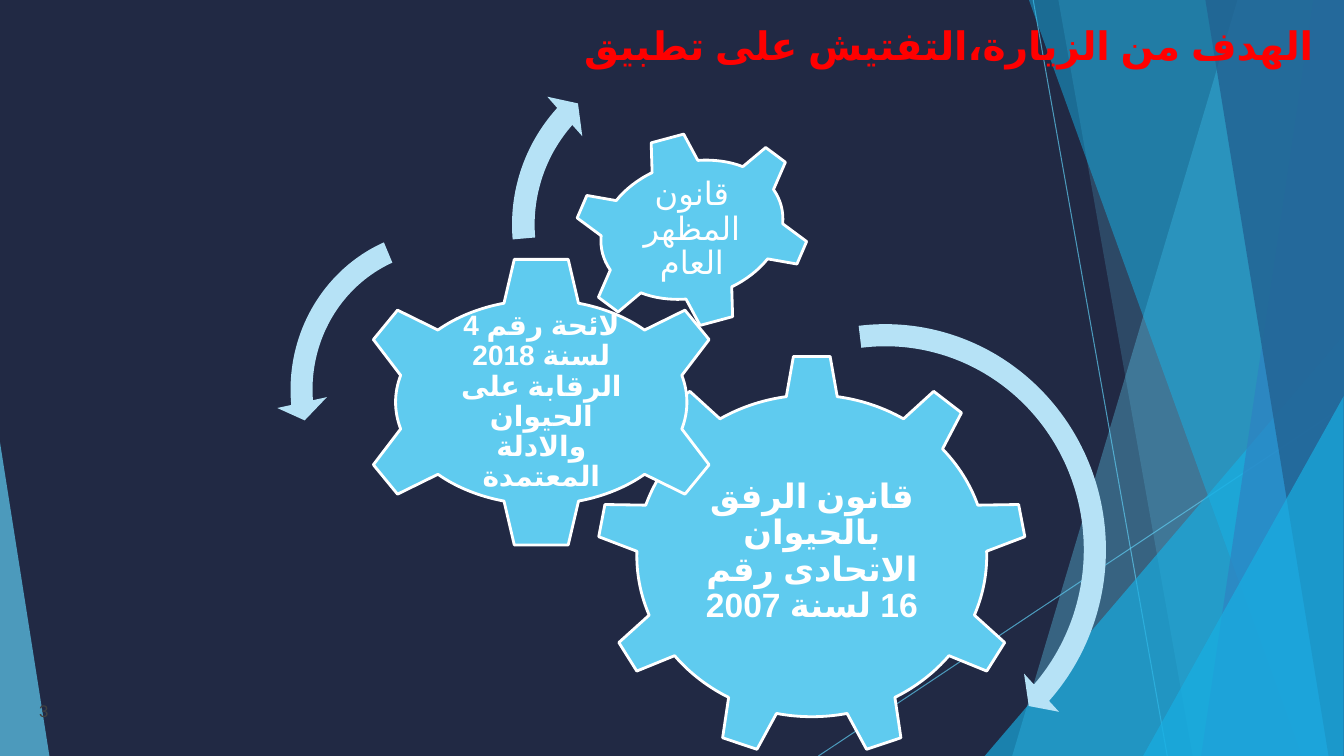
from lxml import etree
from pptx import Presentation
from pptx import util as u
from pptx.dml.color import RGBColor
from pptx.enum import lang, shapes, text
from pptx.oxml import ns

COLORS = {
    "navy": "212944", "sky": "5FCBEF", "azure": "17B0E4", "blue": "2E83C3",
    "deep": "226292", "pale": "B6E2F6", "white": "FFFFFF", "red": "FF0000",
    "gray": "404040",
}
PRESET = shapes.MSO_SHAPE
ALIGN = text.PP_ALIGN
ANCHOR = text.MSO_ANCHOR
WIDTH, HEIGHT = 960, 540


def points(*values):
    return [u.Pt(value) for value in values]


def paint(fill, color, alpha=100):
    """Fill with a named colour at an opacity in percent."""
    fill.solid()
    fill.fore_color.rgb = RGBColor.from_string(COLORS[color])
    if alpha < 100:
        tint = fill._xPr.find(".//" + ns.qn("a:srgbClr"))
        etree.SubElement(tint, ns.qn("a:alpha"), val=str(alpha * 1000))


def write(shape, words, size, color, font="Lato", bold=False, align=ALIGN.LEFT,
          anchor=ANCHOR.TOP, insets=(0, 0), spacing=None, arabic=True):
    """Put one formatted paragraph in a shape; insets are side and top."""
    frame = shape.text_frame
    frame.word_wrap = True
    frame.auto_size = text.MSO_AUTO_SIZE.NONE
    frame.vertical_anchor = anchor
    frame.margin_left = frame.margin_right = u.Pt(insets[0])
    frame.margin_top = frame.margin_bottom = u.Pt(insets[1])
    para = frame.paragraphs[0]
    para.alignment = align
    para.line_spacing = spacing
    span = para.add_run()
    span.text = words
    span.font.size = u.Pt(size)
    span.font.bold = bold
    span.font.name = font
    span.font.color.rgb = RGBColor.from_string(COLORS[color])
    if arabic:
        para._p.get_or_add_pPr().set("rtl", "1")
        span.font.language_id = lang.MSO_LANGUAGE_ID.ARABIC_UAE
        etree.SubElement(span._r.get_or_add_rPr(), ns.qn("a:cs"), typeface="Arial")


def add_preset(page, kind, box, color, alpha=100, adjustments=()):
    shape = page.shapes.add_shape(kind, *points(*box))
    shape.shadow.inherit = False
    paint(shape.fill, color, alpha)
    shape.line.fill.background()
    for index, value in enumerate(adjustments):
        shape.adjustments[index] = value
    return shape


def add_ray(page, start, end):
    ray = page.shapes.add_connector(shapes.MSO_CONNECTOR.STRAIGHT,
                                    *points(*start, *end))
    ray.line.width = u.Pt(0.75)
    paint(ray.line.fill, "sky", 70)
    etree.SubElement(ray._element.spPr, ns.qn("a:effectLst"))


def add_facet(page, box, top, bottom, color, alpha):
    """Slanted panel from a top and a bottom x to the right edge of the box."""
    left, upper, width, height = box
    right, lower = left + width, upper + height
    builder = page.shapes.build_freeform(left + top, upper, scale=u.Pt(1))
    builder.add_line_segments([(right, upper), (right, lower),
                               (left + bottom, lower)])
    facet = builder.convert_to_shape()
    facet.shadow.inherit = False
    paint(facet.fill, color, alpha)
    facet.line.fill.background()


def add_triangle(page, box, left, width, height, apex, color, alpha):
    """Triangle standing on the bottom edge of the box."""
    top = box[1] + box[3] - height
    add_preset(page, PRESET.ISOSCELES_TRIANGLE,
               (box[0] + left, top, width, height), color, alpha, [apex])


def add_backdrop(page, box):
    left, top, width, height = box
    right, bottom = left + width, top + height
    paint(page.background.fill, "navy")
    add_ray(page, (left + 738, top), (left + 833.8, bottom))
    add_ray(page, (right, top + 290.2), (left + 584.6, bottom))
    add_facet(page, box, 884.2, 722.9, "sky", 36)
    add_facet(page, box, 756, 851.8, "sky", 20)
    add_triangle(page, box, 703.4, 256.4, 300.2, 1, "azure", 66)
    add_facet(page, box, 735.1, 929.5, "azure", 50)
    add_facet(page, box, 938.2, 858.2, "blue", 70)
    add_facet(page, box, 861.1, 949, "deep", 80)
    add_triangle(page, box, 816.5, 143.3, 257, 1, "azure", 66)
    add_triangle(page, box, 0, 35.3, 224, 0, "sky", 70)


def add_heading(page, box):
    """Format the title and bring it in front of the backdrop."""
    title = page.shapes.title
    page.shapes._spTree.append(title._element)
    title.left, title.top, title.width, title.height = points(*box)
    write(title, "الهدف من الزيارة،التفتيش على تطبيق", 28, "red",
          bold=True, align=ALIGN.RIGHT)


def add_page_number(page, box):
    number = page.shapes.add_textbox(*points(*box))
    write(number, "3", 12, "gray", font="Arial", insets=(7.2, 3.6), arabic=False)


def add_gear(page, box, kind, words, size, label_size, bold=True, turn=0, lift=0):
    """Gear filling the box, with an upright label centred on it."""
    left, top, width, height = box
    gear = add_preset(page, kind, box, "sky")
    gear.rotation = turn
    gear.line.width = u.Pt(2)
    paint(gear.line.fill, "white")
    label_width, label_height = label_size
    label = page.shapes.add_textbox(*points(
        left + (width - label_width) / 2,
        top + (height - label_height) / 2 - lift, label_width, label_height))
    write(label, words, size, "white", bold=bold, align=ALIGN.CENTER,
          anchor=ANCHOR.MIDDLE, insets=(2.2, 2.2), spacing=0.9)


def add_gear_train(page, box):
    left, top = box[:2]
    gears = [
        ((228.9, 227.5, 307.4, 287.3), PRESET.GEAR_9,
         "قانون الرفق بالحيوان الاتحادى رقم 16 لسنة 2007", 24,
         (187.2, 147.6), True, 0, 2.8),
        ((54, 157, 270.7, 208.8), PRESET.GEAR_6,
         "لائحة رقم 4 لسنة 2018 الرقابة على الحيوان والادلة المعتمدة", 20,
         (147.6, 103), True, 0, 0),
        ((210.2, 69.1, 173.5, 138.2), PRESET.GEAR_6,
         "قانون المظهر العام", 23, (93.6, 82.1), False, 345, 0),
    ]
    for (x, y, width, height), *details in gears:
        add_gear(page, (left + x, top + y, width, height), *details)

    arrows = [
        ((267.1, 195.1, 336.2, 343.4), PRESET.CIRCULAR_ARROW,
         (0.047, 2.99, 25.497, 157.909, 0.055)),
        ((0, 127.5, 241.9, 249.8), PRESET.LEFT_CIRCULAR_ARROW,
         (0.065, 4.3, 104.891, 148.378, 0.075)),
        ((157.7, 0, 269.3, 269.3), PRESET.CIRCULAR_ARROW,
         (0.06, 3.941, 133.138, 105.082, 0.07)),
    ]
    for (x, y, width, height), kind, adjustments in arrows:
        add_preset(page, kind, (left + x, top + y, width, height), "pale",
                   adjustments=adjustments)


def main():
    deck = Presentation()
    deck.slide_width, deck.slide_height = points(WIDTH, HEIGHT)
    page = deck.slides.add_slide(deck.slide_layouts[5])
    add_backdrop(page, (0, 0, WIDTH, HEIGHT))
    add_heading(page, (306.7, 15.1, 631.4, 79.2))
    add_page_number(page, (20.9, 496.8, 112.3, 21.6))
    add_gear_train(page, (197.3, 25.9, 603.3, 538.5))
    deck.save("out.pptx")


if __name__ == "__main__":
    main()
